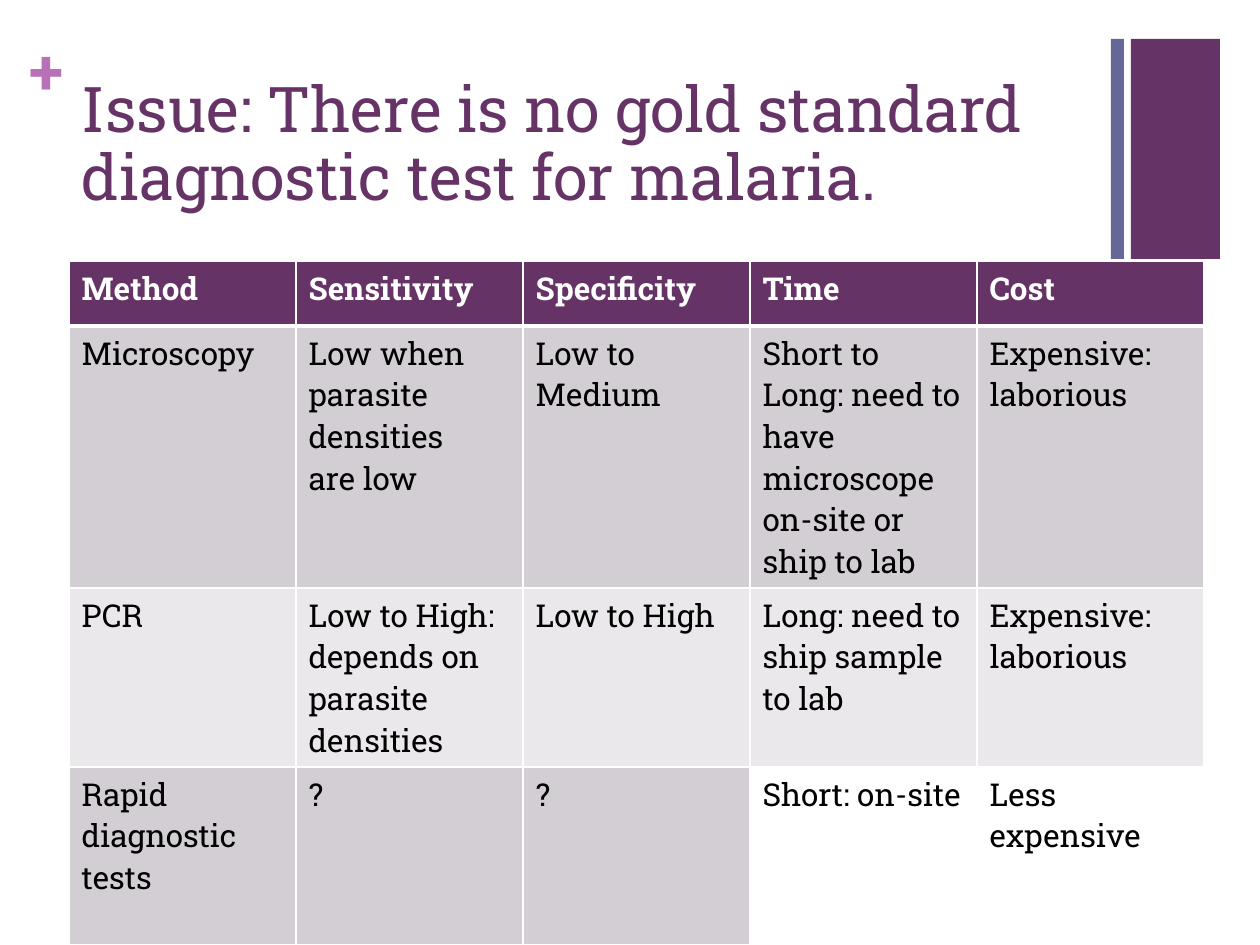
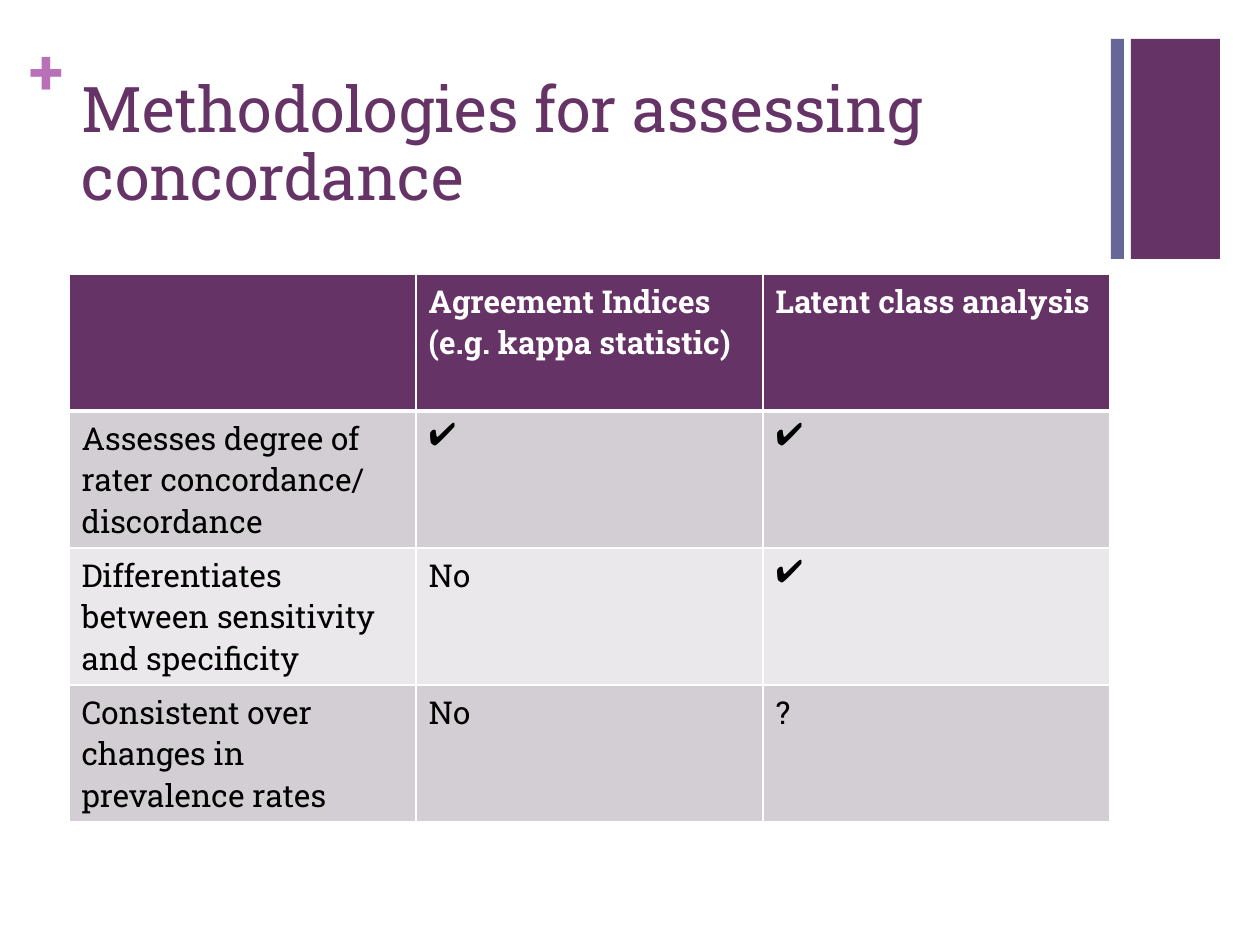
from dataclasses import dataclass
from lxml.etree import SubElement
from pptx import Presentation
from pptx.dml.color import RGBColor
from pptx.enum.shapes import MSO_SHAPE
from pptx.enum.text import MSO_ANCHOR
from pptx.oxml.ns import qn
from pptx.slide import Slide
from pptx.util import Emu, Pt

PURPLE, SLATE, ORCHID = "663366", "666699", "B870B8"
WHITE, BLACK = "FFFFFF", "000000"
BANDS = ["D3CED3", "EAE8EA"]
CHECK = "\u2714"


def px(length):
    return Emu(round(length * 914400 / 126))


def color(code):
    return RGBColor.from_string(code)


@dataclass
class Deck:
    slide: Slide
    font: str = "Roboto Slab"
    symbol_font: str = "Arial"

    def add_text(self, frame, text, size, ink, bold=False, spacing=None):
        for index, line in enumerate(text.split("\n")):
            paragraph = frame.add_paragraph() if index else frame.paragraphs[0]
            if spacing:
                paragraph.line_spacing = spacing
            run = paragraph.add_run()
            run.text = line
            run.font.name = self.symbol_font if line == CHECK else self.font
            run.font.size = Pt(size)
            run.font.bold = bold
            run.font.color.rgb = color(ink)

    def label(self, box, margins, text, ink, **style):
        frame = self.slide.shapes.add_textbox(*map(px, box)).text_frame
        frame.word_wrap = True
        frame.vertical_anchor = MSO_ANCHOR.TOP
        frame.margin_left = frame.margin_right = px(margins[0])
        frame.margin_top = frame.margin_bottom = px(margins[1])
        self.add_text(frame, text, 36, ink, **style)

    def band(self, box, fill):
        band = self.slide.shapes.add_shape(MSO_SHAPE.RECTANGLE, *map(px, box))
        band.shadow.inherit = False
        band.fill.solid()
        band.fill.fore_color.rgb = color(fill)
        band.line.fill.background()

    def heading(self, title):
        self.band((1131, 39, 89, 220), PURPLE)
        self.label((30, 32, 37, 77), (0, 0), "+", ORCHID, bold=True)
        self.band((1111, 39, 13, 220), SLATE)
        self.label((69, 67, 1041, 154), (13, 11), title, PURPLE, spacing=0.9)

    def borders(self, cell, top, bottom):
        properties = cell._tc.get_or_add_tcPr()
        for side, points in (("L", 1), ("R", 1), ("T", top), ("B", bottom)):
            edge = SubElement(properties, qn(f"a:ln{side}"), w=str(Pt(points)))
            fill = SubElement(edge, qn("a:solidFill"))
            SubElement(fill, qn("a:srgbClr"), val=WHITE)

    def table(self, top, column_width, heights, rows, plain=()):
        columns = len(rows[0])
        box = (69, top, column_width * columns, sum(heights))
        grid = self.slide.shapes.add_table(len(rows), columns, *map(px, box)).table
        for column in grid.columns:
            column.width = px(column_width)
        for r, (height, texts) in enumerate(zip(heights, rows)):
            grid.rows[r].height = px(height)
            header = r == 0
            for c, text in enumerate(texts):
                cell = grid.cell(r, c)
                self.borders(cell, 3 if r == 1 else 1, 3 if header else 1)
                shade = PURPLE if header else BANDS[(r - 1) % 2]
                cell.fill.solid()
                cell.fill.fore_color.rgb = color(WHITE if (r, c) in plain else shade)
                if text:
                    self.add_text(cell.text_frame, text, 18, WHITE if header else BLACK, header)


presentation = Presentation()
presentation.slide_width, presentation.slide_height = px(1260), px(945)
blank = presentation.slide_layouts[6]

issue = Deck(presentation.slides.add_slide(blank))
issue.heading("Issue: There is no gold standard diagnostic test for malaria.")
issue.table(261, 227, [65, 262, 179, 178], [
    ["Method", "Sensitivity", "Specificity", "Time", "Cost"],
    ["Microscopy", "Low when parasite densities\nare low", "Low to Medium",
     "Short to Long: need to have microscope on-site or ship to lab",
     "Expensive: laborious"],
    ["PCR", "Low to High: depends on parasite densities", "Low to High",
     "Long: need to ship sample to lab", "Expensive:\nlaborious"],
    ["Rapid diagnostic tests", "?", "?", "Short: on-site", "Less expensive"],
], plain=[(3, 3), (3, 4)])

methodologies = Deck(presentation.slides.add_slide(blank))
methodologies.heading("Methodologies for assessing concordance")
methodologies.table(274, 347, [137] * 4, [
    ["", "Agreement Indices (e.g. kappa statistic)", "Latent class analysis"],
    ["Assesses degree of rater concordance/ discordance", CHECK, CHECK],
    ["Differentiates between sensitivity and specificity", "No", CHECK],
    ["Consistent over changes in prevalence rates", "No", "?"],
])

presentation.save("out.pptx")
